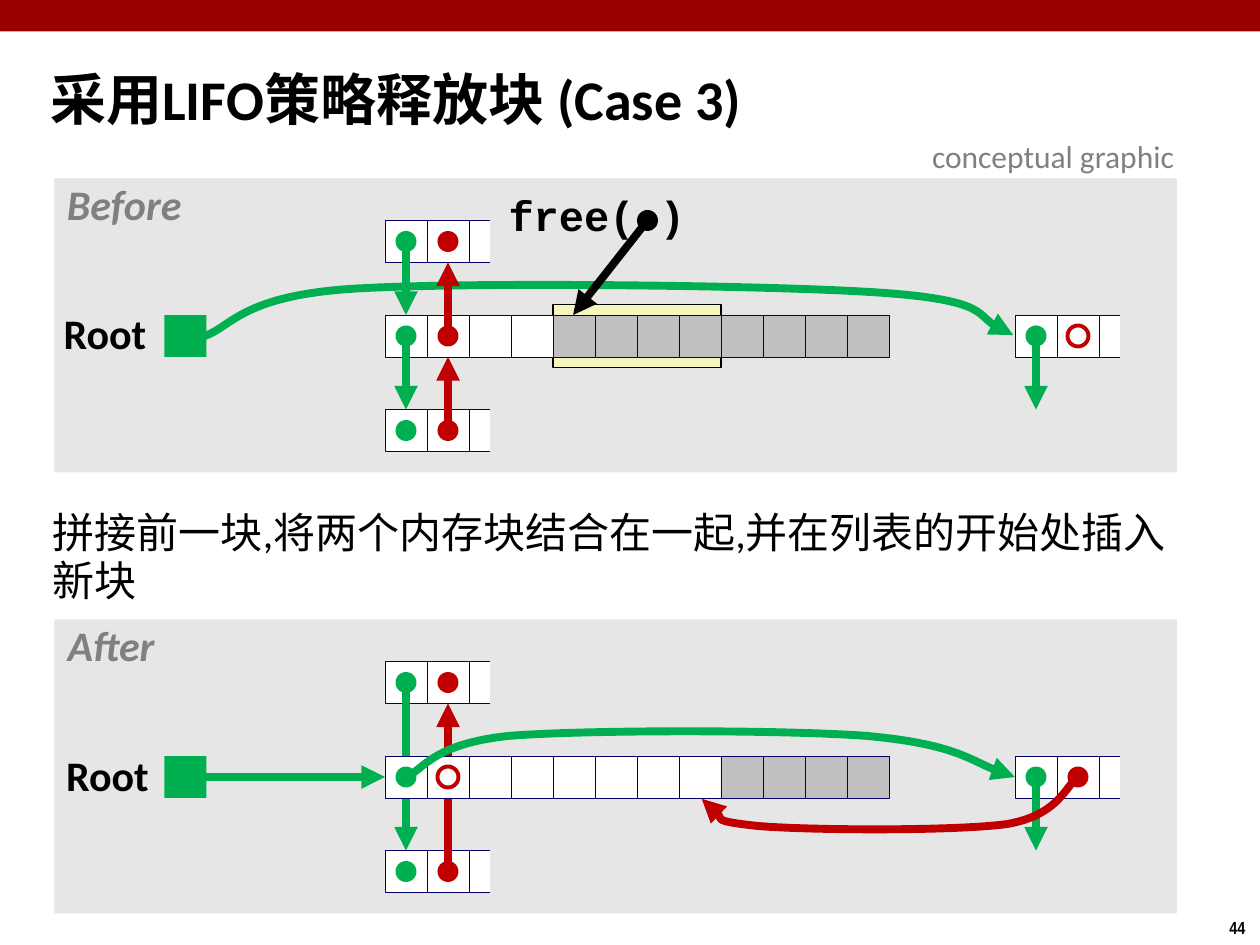
"""Build the slide on freeing a block with the LIFO policy, case 3."""
from lxml.etree import SubElement
from pptx import Presentation
from pptx.dml.color import RGBColor
from pptx.enum.shapes import MSO_CONNECTOR, MSO_SHAPE
from pptx.enum.text import MSO_ANCHOR, MSO_AUTO_SIZE, PP_ALIGN
from pptx.oxml.ns import qn
from pptx.util import Pt

BLACK = RGBColor(0x00, 0x00, 0x00)
WHITE = RGBColor(0xFF, 0xFF, 0xFF)
BAR_RED = RGBColor(0x99, 0x00, 0x00)
PANEL = RGBColor(0xE6, 0xE6, 0xE6)
YELLOW = RGBColor(0xF6, 0xF5, 0xBD)
NAVY = RGBColor(0x00, 0x00, 0x66)
GREEN = RGBColor(0x00, 0xB0, 0x50)
RED = RGBColor(0xC0, 0x00, 0x00)
SILVER = RGBColor(0xC0, 0xC0, 0xC0)
GRAY = RGBColor(0x80, 0x80, 0x80)

CELL, DOT, LEFT = 24, 12, 220
BEFORE, AFTER, GAP = 180, 432, 54
NEXT, PREV = LEFT + CELL / 2, LEFT + CELL * 1.5
FAR = 15 * CELL

prs = Presentation()
prs.slide_width, prs.slide_height = Pt(720), Pt(540)
s = prs.slides.add_slide(prs.slide_layouts[1])


def shape(kind, x, y, w, h, fill, line=None, width=0.26):
    sp = s.shapes.add_shape(kind, Pt(x), Pt(y), Pt(w), Pt(h))
    sp.shadow.inherit = False
    if fill is None:
        sp.fill.background()
    else:
        sp.fill.solid()
        sp.fill.fore_color.rgb = fill
    if line is None:
        sp.line.fill.background()
    else:
        sp.line.color.rgb = line
        sp.line.width = Pt(width)


def arrow(color, *points):
    pts = [(Pt(x), Pt(y)) for x, y in points]
    if len(pts) == 2:
        sp = s.shapes.add_connector(MSO_CONNECTOR.STRAIGHT, *pts[0], *pts[1])
    else:
        fb = s.shapes.build_freeform(*pts[0])
        fb.add_line_segments(pts[1:], close=False)
        sp = fb.convert_to_shape()
        sp.shadow.inherit = False
        sp.fill.background()
        path = sp._element.find(".//" + qn("a:path"))
        segments = path.findall(qn("a:lnTo"))
        for i in range(0, len(segments), 3):
            curve = SubElement(path, qn("a:cubicBezTo"))
            for segment in segments[i:i + 3]:
                curve.append(segment[0])
                path.remove(segment)
    sp.line.color.rgb = color
    sp.line.width = Pt(4.5)
    spPr = sp._element.spPr
    SubElement(spPr.find(qn("a:ln")), qn("a:tailEnd"), type="triangle")
    if len(pts) == 2:
        SubElement(spPr, qn("a:effectLst"))


shape(MSO_SHAPE.RECTANGLE, 0, 0, 720, 18, BAR_RED)
for y in (BEFORE, AFTER):
    shape(MSO_SHAPE.RECTANGLE, 31, y - 78, 641.5, 168, PANEL)
shape(MSO_SHAPE.RECTANGLE, LEFT + 4 * CELL, BEFORE - 6, 4 * CELL, 36, YELLOW, BLACK, 0.75)

for row in (BEFORE, AFTER):
    for x, y in ((LEFT, row - GAP), (LEFT, row + GAP), (LEFT + FAR, row)):
        for i in range(3):
            shape(MSO_SHAPE.RECTANGLE, x + i * CELL, y, CELL, CELL, WHITE, NAVY)
        shape(MSO_SHAPE.RECTANGLE, x + 2.5 * CELL, y - 6, CELL, 36, PANEL)

arrow(RED, (PREV, AFTER + 66), (PREV, AFTER - 30))
arrow(GREEN, (NEXT, AFTER - 42), (NEXT, AFTER + GAP))
arrow(GREEN, (117, 192), (132, 187), (138, 169), (202, 165), (266, 161), (436, 163),
      (499, 167), (562, 171), (562, 186), (579, 191.5))

for row, free_cells in ((BEFORE, 4), (AFTER, 8)):
    for i in range(12):
        fill = WHITE if i < free_cells else SILVER
        shape(MSO_SHAPE.RECTANGLE, LEFT + i * CELL, row, CELL, CELL, fill, NAVY)
    shape(MSO_SHAPE.RECTANGLE, 94, row, CELL, CELL, GREEN)
    arrow(GREEN, (NEXT + FAR, row + 12), (NEXT + FAR, row + GAP))

for y in (BEFORE - GAP, BEFORE):
    arrow(GREEN, (NEXT, y + 12), (NEXT, y + GAP))
    arrow(RED, (PREV, y + GAP + 12), (PREV, y + CELL))
arrow(GREEN, (112, AFTER + 12), (LEFT, AFTER + 12))

for row, ring_x in ((BEFORE, PREV + FAR), (AFTER, PREV)):
    for x, y in ((0, -GAP), (0, 0), (0, GAP), (FAR, 0)):
        for dot_x, color in ((NEXT + x, GREEN), (PREV + x, RED)):
            ring = dot_x == ring_x and y == 0
            shape(MSO_SHAPE.OVAL, dot_x - DOT / 2, row + y + 6, DOT, DOT,
                  None if ring else color, color if ring else None, 2.25)

arrow(GREEN, (232, 444), (242, 440), (247, 425), (291, 420.5), (335, 417), (447, 417),
      (495, 420.5), (544, 425), (562, 439), (580, 444))
arrow(RED, (616, 444), (609, 449), (605, 466), (575, 471), (544, 475), (462, 474.5),
      (433, 472), (405, 469), (408, 460), (401, 456.5))

heading = dict(size=Pt(24), name="Calibri", bold=True)
labels = [
    ("free( )", 286.5, 108, 109, 34, PP_ALIGN.CENTER, heading | {"name": "Courier New"}, BLACK),
    ("Root", 32.5, 175.5, 55, 34, PP_ALIGN.CENTER, heading, BLACK),
    ("Root", 34, 428, 55, 34, PP_ALIGN.CENTER, heading, BLACK),
    ("Before", 34, 102, 74, 34, PP_ALIGN.CENTER, heading | {"italic": True}, GRAY),
    ("After", 34.5, 354, 58, 34, PP_ALIGN.CENTER, heading | {"italic": True}, GRAY),
    ("conceptual graphic", 525.5, 75, 156, 29, PP_ALIGN.LEFT,
     dict(size=Pt(18), name="Calibri"), GRAY),
    ("44", 695.5, 520.5, 24.5, 19.5, PP_ALIGN.LEFT,
     dict(size=Pt(10), name="Arial Narrow", bold=True), BLACK),
]
for text, x, y, w, h, align, fmt, color in labels:
    tf = s.shapes.add_textbox(Pt(x), Pt(y), Pt(w), Pt(h)).text_frame
    tf.word_wrap = False
    tf.auto_size = MSO_AUTO_SIZE.SHAPE_TO_FIT_TEXT
    p = tf.paragraphs[0]
    p.alignment = align
    if align == PP_ALIGN.CENTER:
        p.line_spacing = 0.9
        for side in ("left", "right", "top", "bottom"):
            setattr(tf, "margin_" + side, Pt(3.6))
    r = p.add_run()
    r.text = text
    r.font.color.rgb = color
    for key, value in fmt.items():
        setattr(r.font, key, value)

shape(MSO_SHAPE.OVAL, 364, 120, DOT, DOT, BLACK)
arrow(BLACK, (370, 126), (327.5, 180))

placeholders = [
    (s.shapes.title, "采用LIFO策略释放块 (Case 3)", (21.5, 28, 686, 62), MSO_ANCHOR.MIDDLE,
     dict(size=Pt(32), name="Calibri", bold=True), 0.87, 0),
    (s.placeholders[1], "拼接前一块,将两个内存块结合在一起,并在列表的开始处插入新块".replace(",", ","),
     (23, 288, 654.5, 62), MSO_ANCHOR.TOP, dict(size=Pt(24), name="Calibri"), 0.95, 4.8),
]
for sp, text, box, anchor, fmt, spacing, before in placeholders:
    sp.left, sp.top, sp.width, sp.height = [Pt(v) for v in box]
    tf = sp.text_frame
    tf.auto_size = MSO_AUTO_SIZE.NONE
    tf.vertical_anchor = anchor
    p = tf.paragraphs[0]
    p.alignment = PP_ALIGN.LEFT
    p.line_spacing = spacing
    p.space_before = Pt(before)
    pPr = p._p.get_or_add_pPr()
    pPr.set("marL", "0")
    pPr.set("indent", "0")
    SubElement(pPr, qn("a:buNone"))
    r = p.add_run()
    r.text = text
    r.font.color.rgb = BLACK
    for key, value in fmt.items():
        setattr(r.font, key, value)

prs.save("out.pptx")
